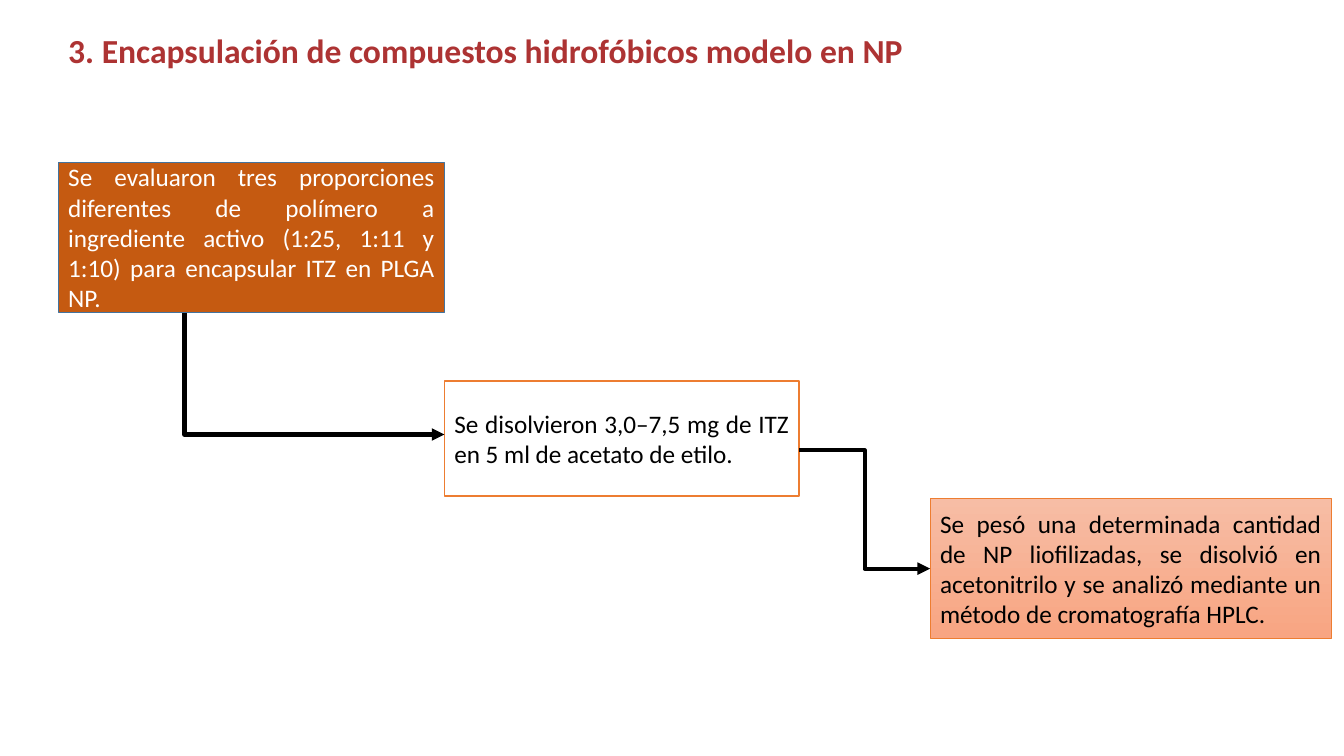
"""Builds the slide on encapsulating model hydrophobic compounds in NP."""
from dataclasses import dataclass

from pptx import Presentation
from pptx.dml.color import RGBColor
from pptx.enum import shapes, text
from pptx.oxml import ns
from pptx.slide import Slide
from pptx.text.text import TextFrame
from pptx.util import Cm, Pt
from lxml import etree


@dataclass(frozen=True)
class Theme:
    font: str = "Calibri"
    title_size: int = 24
    body_size: int = 18
    arrow_width: float = 3
    red: str = "AD3333"
    rust: str = "C55A11"
    blue: str = "43739E"
    orange: str = "ED7D31"
    peach: str = "F7BDA5"
    salmon: str = "F8A582"
    white: str = "FFFFFF"
    black: str = "000000"


@dataclass(frozen=True)
class Step:
    wording: str
    left: float
    top: float
    width: float
    height: float
    fills: tuple[str, ...]
    border: str
    border_width: float
    ink: str


@dataclass(frozen=True)
class Arrow:
    start: tuple[float, float]
    end: tuple[float, float]
    single_bend: bool


THEME = Theme()
STEPS = (
    Step("Se evaluaron tres proporciones diferentes de polímero a ingrediente activo "
         "(1:25, 1:11 y 1:10) para encapsular ITZ en PLGA NP.",
         1.47, 4.09, 9.73, 3.78, (THEME.rust,), THEME.blue, 1, THEME.white),
    Step("Se disolvieron 3,0–7,5 mg de ITZ en 5 ml de acetato de etilo.",
         11.2, 9.6, 8.94, 2.9, (THEME.white,), THEME.orange, 1, THEME.black),
    Step("Se pesó una determinada cantidad de NP liofilizadas, se disolvió en acetonitrilo "
         "y se analizó mediante un método de cromatografía HPLC.",
         23.44, 12.57, 10.11, 3.51, (THEME.peach, THEME.salmon), THEME.orange, 0.5, THEME.black),
)
ARROWS = (
    Arrow((4.65, 7.9), (11.2, 10.95), True),
    Arrow((20.14, 11.35), (23.44, 14.33), False),
)


def write(frame: TextFrame, wording: str, size: int, ink: str, bold: bool = False) -> None:
    """Write one run into the frame's first paragraph."""
    frame.word_wrap = True
    run = frame.paragraphs[0].add_run()
    run.text = wording
    run.font.name = THEME.font
    run.font.size = Pt(size)
    run.font.bold = bold
    run.font.color.rgb = RGBColor.from_string(ink)


def draw_title(slide: Slide, wording: str) -> None:
    """Draw the slide heading."""
    heading = slide.shapes.add_textbox(Cm(1.47), Cm(0.74), Cm(29.21), Cm(2.74)).text_frame
    write(heading, wording, THEME.title_size, THEME.red, bold=True)
    heading.paragraphs[0].line_spacing = 0.9


def draw_step(slide: Slide, step: Step) -> None:
    """Draw one step of the procedure as a filled box."""
    box = slide.shapes.add_shape(shapes.MSO_SHAPE.RECTANGLE, Cm(step.left), Cm(step.top),
                                 Cm(step.width), Cm(step.height))
    box.shadow.inherit = False
    if len(step.fills) == 1:
        box.fill.solid()
        box.fill.fore_color.rgb = RGBColor.from_string(step.fills[0])
    else:
        box.fill.gradient()
        box.fill.gradient_angle = 270
        for stop, colour in zip(box.fill.gradient_stops, step.fills):
            stop.color.rgb = RGBColor.from_string(colour)
    box.line.color.rgb = RGBColor.from_string(step.border)
    box.line.width = Pt(step.border_width)
    write(box.text_frame, step.wording, THEME.body_size, step.ink)
    box.text_frame.vertical_anchor = text.MSO_ANCHOR.MIDDLE
    box.text_frame.paragraphs[0].alignment = text.PP_ALIGN.JUSTIFY


def draw_arrow(slide: Slide, arrow: Arrow) -> None:
    """Draw a bent arrow, going down first when it has a single bend."""
    (x1, y1), (x2, y2) = arrow.start, arrow.end
    if arrow.single_bend:
        middle_x, middle_y = (x1 + x2) / 2, (y1 + y2) / 2
        half_width, half_height = (y2 - y1) / 2, (x2 - x1) / 2
        x1, x2 = middle_x + half_width, middle_x - half_width
        y1, y2 = middle_y - half_height, middle_y + half_height
    link = slide.shapes.add_connector(shapes.MSO_CONNECTOR.ELBOW, Cm(x1), Cm(y1), Cm(x2), Cm(y2))
    link.line.color.rgb = RGBColor.from_string(THEME.black)
    link.line.width = Pt(THEME.arrow_width)
    properties = link._element.spPr
    if arrow.single_bend:
        properties.find(ns.qn("a:prstGeom")).set("prst", "bentConnector2")
        properties.find(ns.qn("a:xfrm")).set("rot", str(270 * 60000))
    etree.SubElement(properties.find(ns.qn("a:ln")), ns.qn("a:tailEnd"), type="triangle")
    etree.SubElement(properties, ns.qn("a:effectLst"))


def main() -> None:
    """Build and save the presentation."""
    deck = Presentation()
    deck.slide_width, deck.slide_height = Cm(33.87), Cm(19.05)
    slide = deck.slides.add_slide(deck.slide_layouts[6])
    draw_title(slide, "3. Encapsulación de compuestos hidrofóbicos modelo en NP")
    for step in STEPS:
        draw_step(slide, step)
    for arrow in ARROWS:
        draw_arrow(slide, arrow)
    deck.save("out.pptx")


if __name__ == "__main__":
    main()
